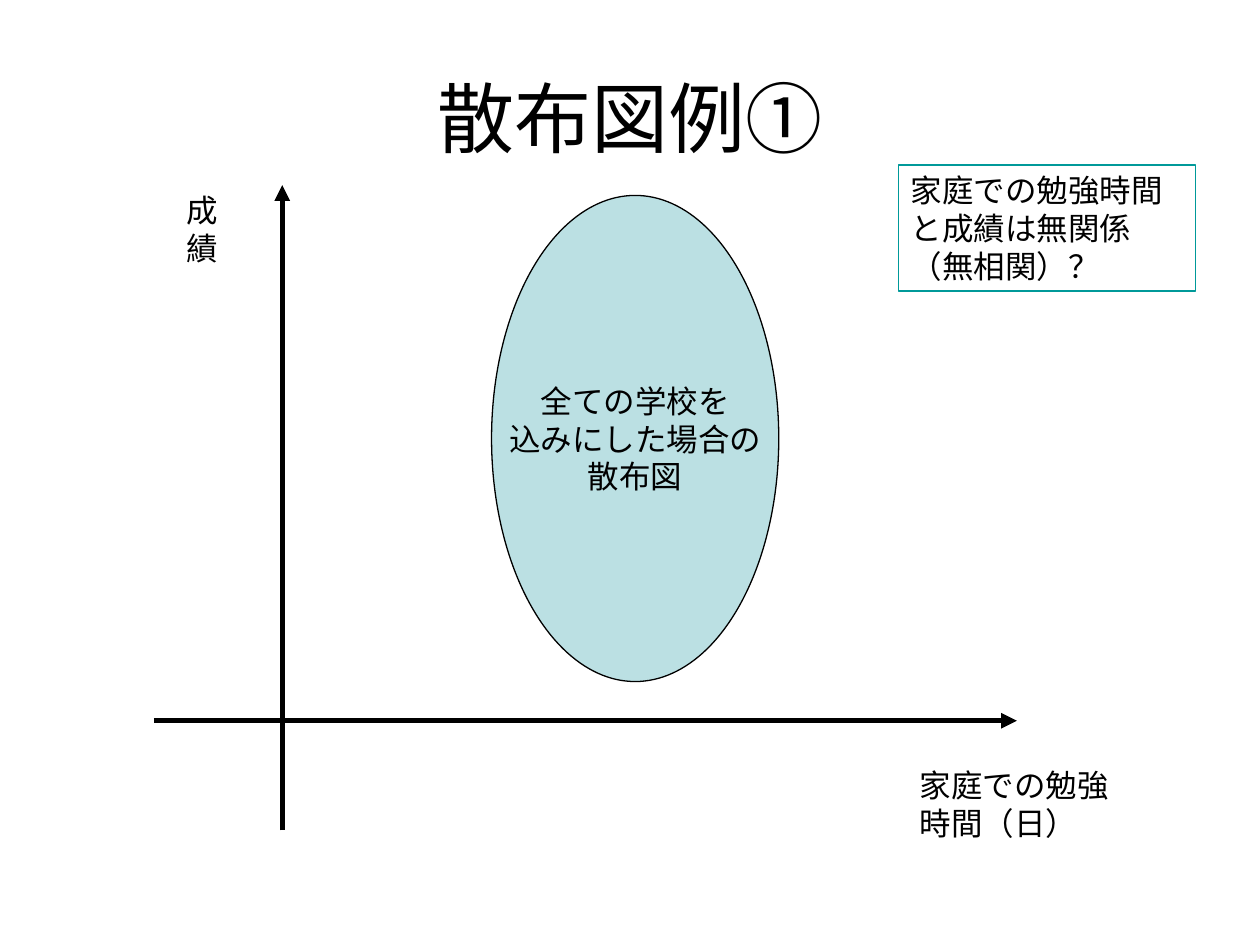
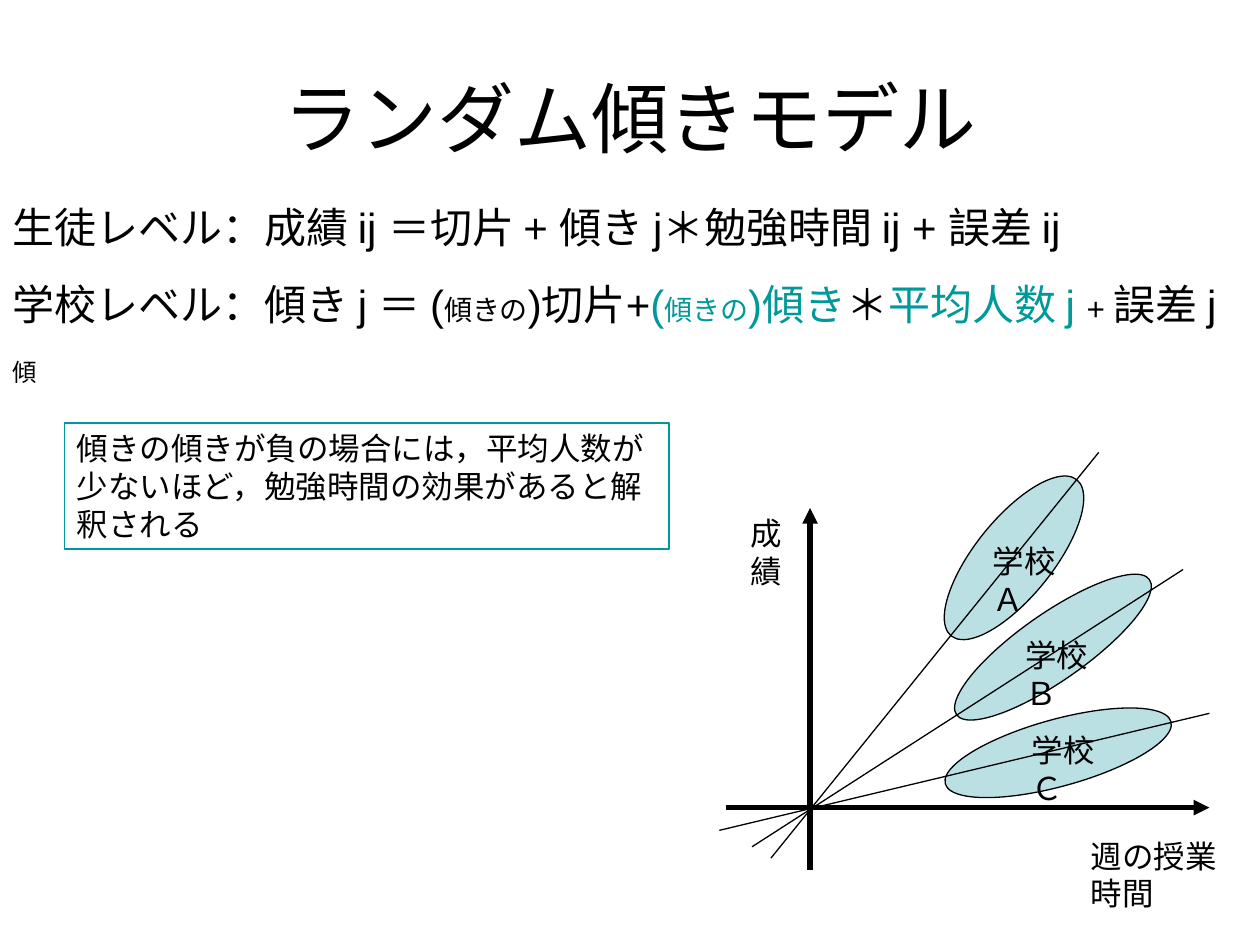
from pptx import Presentation
from pptx import util as u
from pptx.dml.color import RGBColor
from pptx.enum import shapes, text
from pptx.oxml.ns import qn
from lxml import etree

BLACK, TEAL, PALE = "000000", "009999", "BBE0E3"


def color(code):
    return RGBColor.from_string(code)


def cm(*lengths):
    return [u.Cm(length) for length in lengths]


class Painter:
    font_name = "Arial"
    title_size, body_size, label_size = 44, 24, 18
    thin, thick = 0.75, 3
    label_height = 1.78

    def __init__(self):
        self.deck = Presentation()
        self.deck.slide_width, self.deck.slide_height = cm(25.4, 19.05)
        self.page = None

    def new_page(self, title):
        self.page = self.deck.slides.add_slide(self.deck.slide_layouts[5])
        box = self.page.shapes.title
        box.left, box.top, box.width, box.height = cm(1.27, 0.76, 22.86, 3.18)
        box.text_frame.vertical_anchor = text.MSO_ANCHOR.MIDDLE
        self.add_paras(box, [[(title, {"size": self.title_size})]], align=text.PP_ALIGN.CENTER)

    def add_paras(self, box, lines, align=text.PP_ALIGN.LEFT, gap=0):
        frame = box.text_frame
        for number, runs in enumerate(lines):
            para = frame.add_paragraph() if number else frame.paragraphs[0]
            para.alignment = align
            para.space_before = u.Pt(gap if number else 0)
            for words, style in runs:
                self.add_span(para, words, **style)

    def add_span(self, para, words, size=label_size, ink=BLACK, baseline=None):
        span = para.add_run()
        span.text = words
        span.font.name = self.font_name
        span.font.size = u.Pt(size)
        span.font.color.rgb = color(ink)
        if baseline:
            span.font._element.set("baseline", str(baseline))

    def text_box(self, place, lines, gap=0):
        box = self.page.shapes.add_textbox(*cm(*place))
        box.text_frame.word_wrap = True
        box.text_frame.auto_size = text.MSO_AUTO_SIZE.SHAPE_TO_FIT_TEXT
        self.add_paras(box, lines, gap=gap)
        return box

    def label(self, left, top, width, words):
        return self.text_box((left, top, width, self.label_height), [[(words, {})]])

    def note(self, place, words):
        box = self.text_box(place, [[(words, {})]])
        self.outline(box.line, TEAL, self.thin)

    def outline(self, line, ink, width):
        line.color.rgb = color(ink)
        line.width = u.Pt(width)

    def ellipse(self, place, rotation=0, lines=()):
        oval = self.page.shapes.add_shape(shapes.MSO_SHAPE.OVAL, *cm(*place))
        oval.shadow.inherit = False
        oval.rotation = rotation
        oval.fill.solid()
        oval.fill.fore_color.rgb = color(PALE)
        self.outline(oval.line, BLACK, self.thin)
        if lines:
            oval.text_frame.word_wrap = False
            oval.text_frame.vertical_anchor = text.MSO_ANCHOR.MIDDLE
            self.add_paras(oval, [[(words, {})] for words in lines], text.PP_ALIGN.CENTER)

    def line(self, start, end, width=thin, arrow=False):
        connector = self.page.shapes.add_connector(
            shapes.MSO_CONNECTOR.STRAIGHT, *cm(*start, *end))
        self.outline(connector.line, BLACK, width)
        properties = connector.element.spPr
        if arrow:
            etree.SubElement(properties.find(qn("a:ln")), qn("a:tailEnd"), type="triangle")
        etree.SubElement(properties, qn("a:effectLst"))

    def axes(self, origin, left, right, bottom, top):
        x, y = origin
        self.line((left, y), (right, y), self.thick, arrow=True)
        self.line((x, bottom), (x, top), self.thick, arrow=True)


def scatter_page(painter):
    painter.new_page("散布図例①")
    painter.axes((5.69, 14.53), left=3.1, right=20.5, bottom=16.74, top=3.73)
    painter.label(18.29, 15.32, 4.8, "家庭での勉強時間（日）")
    painter.label(3.51, 3.73, 1.4, "成績")
    painter.ellipse((9.91, 3.94, 5.79, 9.8),
                    lines=["全ての学校を", "込みにした場合の", "散布図"])
    painter.note((18.11, 3.33, 5.99, 2.54), "家庭での勉強時間と成績は無関係（無相関）？")


def slope_page(painter):
    painter.new_page("ランダム傾きモデル")
    plain = {"size": painter.body_size}
    teal = {**plain, "ink": TEAL}
    student_level = [("生徒レベル：成績 ij ＝切片 + 傾き j＊勉強時間 ij + 誤差 ij", plain)]
    school_level = [
        ("学校レベル：傾き j ＝ (", plain),
        ("傾きの", {"size": 16}),
        (")切片+", plain),
        ("(", teal),
        ("傾きの", {"size": 16, "ink": TEAL}),
        (")傾き", teal),
        ("＊", plain),
        ("平均人数 j ", teal),
        ("+ ", {}),
        ("誤差 j ", plain),
        ("傾", {**plain, "baseline": -25000}),
    ]
    painter.text_box((0, 3.94, 24.89, 5.66), [student_level, school_level], gap=15)
    painter.note((1.3, 8.53, 12.19, 2.54),
                 "傾きの傾きが負の場合には，平均人数が少ないほど，勉強時間の効果があると解釈される")

    painter.axes((16.33, 16.28), left=14.63, right=24.38, bottom=17.53, top=10.24)
    schools = [
        ("学校Ａ", (18.42, 10.46, 4.04, 1.57), 128.8, (19.76, 10.8), (15.54, 17.3), (22.15, 9.12)),
        ("学校Ｂ", (18.85, 12.37, 4.75, 1.35), 145, (20.42, 12.7), (15.16, 17.07), (23.85, 11.48)),
        ("学校Ｃ", (18.97, 14.5, 4.72, 1.35), 164.6, (20.55, 14.61), (14.5, 16.74), (24.38, 14.38)),
    ]
    for _, place, rotation, *_ in schools:
        painter.ellipse(place, rotation)
    painter.label(21.74, 16.74, 3.15, "週の授業時間")
    painter.label(14.88, 10.24, 0.91, "成績")
    for name, _, _, corner, start, end in schools:
        painter.label(*corner, 2.11, name)
        painter.line(start, end)


def main():
    painter = Painter()
    scatter_page(painter)
    slope_page(painter)
    painter.deck.save("out.pptx")


if __name__ == "__main__":
    main()
